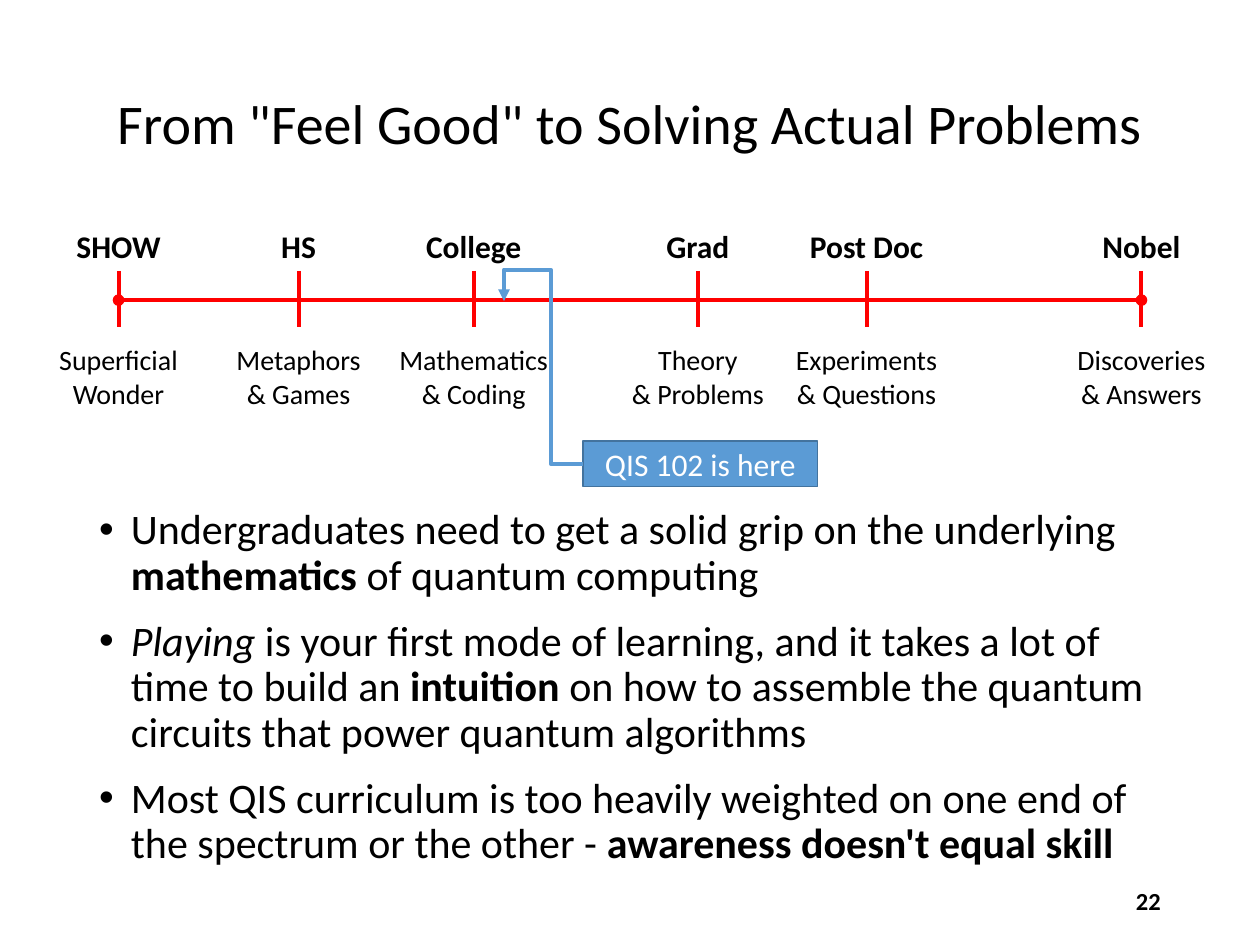
from lxml import etree
from pptx import Presentation
from pptx.dml.color import RGBColor
from pptx.enum.shapes import MSO_CONNECTOR, MSO_SHAPE
from pptx.enum.text import MSO_ANCHOR, PP_ALIGN
from pptx.oxml.ns import qn
from pptx.util import Cm, Pt

LEFT, CENTER, RIGHT = PP_ALIGN.LEFT, PP_ALIGN.CENTER, PP_ALIGN.RIGHT
TOP, MIDDLE = MSO_ANCHOR.TOP, MSO_ANCHOR.MIDDLE
STRAIGHT, ELBOW = MSO_CONNECTOR.STRAIGHT, MSO_CONNECTOR.ELBOW
RECTANGLE = MSO_SHAPE.RECTANGLE

FONT = "Calibri"
BLACK, WHITE, RED = "000000", "FFFFFF", "FF0000"
BLUE, DARK_BLUE = "5B9BD5", "43739E"

# Timeline: centre, stage, note lines, note width (cm)
STAGES = [
    (2.39, "SHOW", ["Superficial", "Wonder"], 3.3),
    (6.02, "HS", ["Metaphors & Games"], 3.3),
    (9.55, "College", ["Mathematics", "& Coding"], 3.58),
    (14.07, "Grad", ["Theory", "& Problems"], 3.3),
    (17.47, "Post Doc", ["Experiments", "& Questions"], 4.06),
    (23.01, "Nobel", ["Discoveries", "& Answers"], 3.63),
]
AXIS_Y, TICK_TOP, TICK_BOTTOM = 6.05, 5.46, 6.6
STAGE_W = 2.8

# Bullets: runs of (text, style), where b is bold and i is italic
BULLETS = [
    [("Undergraduates need to get a solid grip on the underlying ", ""),
     ("mathematics", "b"), (" of quantum computing", "")],
    [("Playing", "i"),
     (" is your first mode of learning, and it takes a lot of time to build an ", ""),
     ("intuition", "b"),
     (" on how to assemble the quantum circuits that power quantum algorithms", "")],
    [("Most QIS curriculum is too heavily weighted on one end of "
      "the spectrum or the other - ", ""),
     ("awareness doesn't equal skill", "b")],
]


def rgb(value):
    return RGBColor.from_string(value)


def add_run(p, text, size, color=BLACK, style=""):
    r = p.add_run()
    r.text = text
    r.font.name, r.font.size = FONT, Pt(size)
    r.font.bold, r.font.italic = "b" in style, "i" in style
    r.font.color.rgb = rgb(color)


def add_text(s, box, lines, size, style="", align=CENTER, anchor=TOP):
    tf = s.shapes.add_textbox(*map(Cm, box)).text_frame
    tf.word_wrap = True
    tf.vertical_anchor = anchor
    for i, line in enumerate(lines):
        p = tf.add_paragraph() if i else tf.paragraphs[0]
        p.alignment = align
        add_run(p, line, size, style=style)


def add_line(s, start, end, color, head=None, tail=None, kind=STRAIGHT):
    line = s.shapes.add_connector(kind, *map(Cm, (*start, *end)))
    line.line.color.rgb = rgb(color)
    line.line.width = Pt(2.25)
    ln = line.line._get_or_add_ln()
    for tag, arrow in (("a:headEnd", head), ("a:tailEnd", tail)):
        if arrow:
            etree.SubElement(ln, qn(tag), type=arrow)
    etree.SubElement(line._element.spPr, qn("a:effectLst"))
    return line


def add_title(s, text):
    sp = s.shapes.title
    sp.left, sp.top, sp.width, sp.height = map(Cm, (1.75, 1.02, 21.9, 3.07))
    sp.text_frame.vertical_anchor = MIDDLE
    p = sp.text_frame.paragraphs[0]
    p.alignment, p.line_spacing = CENTER, 0.9
    add_run(p, text, 32)


def add_timeline(s):
    add_line(s, (STAGES[0][0], AXIS_Y), (STAGES[-1][0], AXIS_Y), RED, "oval", "oval")
    for x, stage, note, note_w in STAGES:
        add_line(s, (x, TICK_TOP), (x, TICK_BOTTOM), RED)
        add_text(s, (x - STAGE_W / 2, 4.45, STAGE_W, 1.02), [stage], 18, "b")
        add_text(s, (x - note_w / 2, 6.78, note_w, 1.63), note, 16)


def add_bullets(s, box, bullets):
    tf = s.shapes.add_textbox(*map(Cm, box)).text_frame
    tf.word_wrap = True
    for i, runs in enumerate(bullets):
        p = tf.add_paragraph() if i else tf.paragraphs[0]
        pPr = p._p.get_or_add_pPr()
        pPr.set("marL", str(Cm(0.64)))
        pPr.set("indent", str(-Cm(0.64)))
        etree.SubElement(pPr, qn("a:buFont"), typeface="Arial")
        etree.SubElement(pPr, qn("a:buChar"), char="•")
        p.alignment, p.line_spacing, p.space_after = LEFT, 0.9, Pt(12)
        for text, style in runs:
            add_run(p, text, 24, style=style)


def add_callout(s, text):
    sp = s.shapes.add_shape(RECTANGLE, *map(Cm, (11.76, 8.89, 4.72, 0.92)))
    sp.shadow.inherit = False
    sp.fill.solid()
    sp.fill.fore_color.rgb = rgb(BLUE)
    sp.line.color.rgb = rgb(DARK_BLUE)
    sp.line.width = Pt(1)
    sp.text_frame.vertical_anchor = MIDDLE
    p = sp.text_frame.paragraphs[0]
    p.alignment = CENTER
    add_run(p, text, 18, WHITE)

    # Four-part elbow, turned so that it runs from the box up to the axis
    pointer = add_line(s, (10.16, 6.07), (11.76, 9.35), BLUE, tail="triangle", kind=ELBOW)
    spPr = pointer._element.spPr
    spPr.find(qn("a:xfrm")).set("rot", str(180 * 60000))
    geom = spPr.find(qn("a:prstGeom"))
    geom.set("prst", "bentConnector4")
    guides = geom.find(qn("a:avLst"))
    for name, value in (("adj1", 41300), ("adj2", 119400)):
        etree.SubElement(guides, qn("a:gd"), name=name, fmla=f"val {value}")


def main():
    prs = Presentation()
    prs.slide_width, prs.slide_height = Cm(25.4), Cm(19.05)
    s = prs.slides.add_slide(prs.slide_layouts[5])
    add_title(s, 'From "Feel Good" to Solving Actual Problems')
    add_timeline(s)
    add_bullets(s, (1.75, 10.13, 21.9, 7.52), BULLETS)
    add_callout(s, "QIS 102 is here")
    # Slide number
    add_text(s, (17.93, 17.65, 5.72, 1.02), ["22"], 14, "b", RIGHT, MIDDLE)
    prs.save("out.pptx")


if __name__ == "__main__":
    main()
